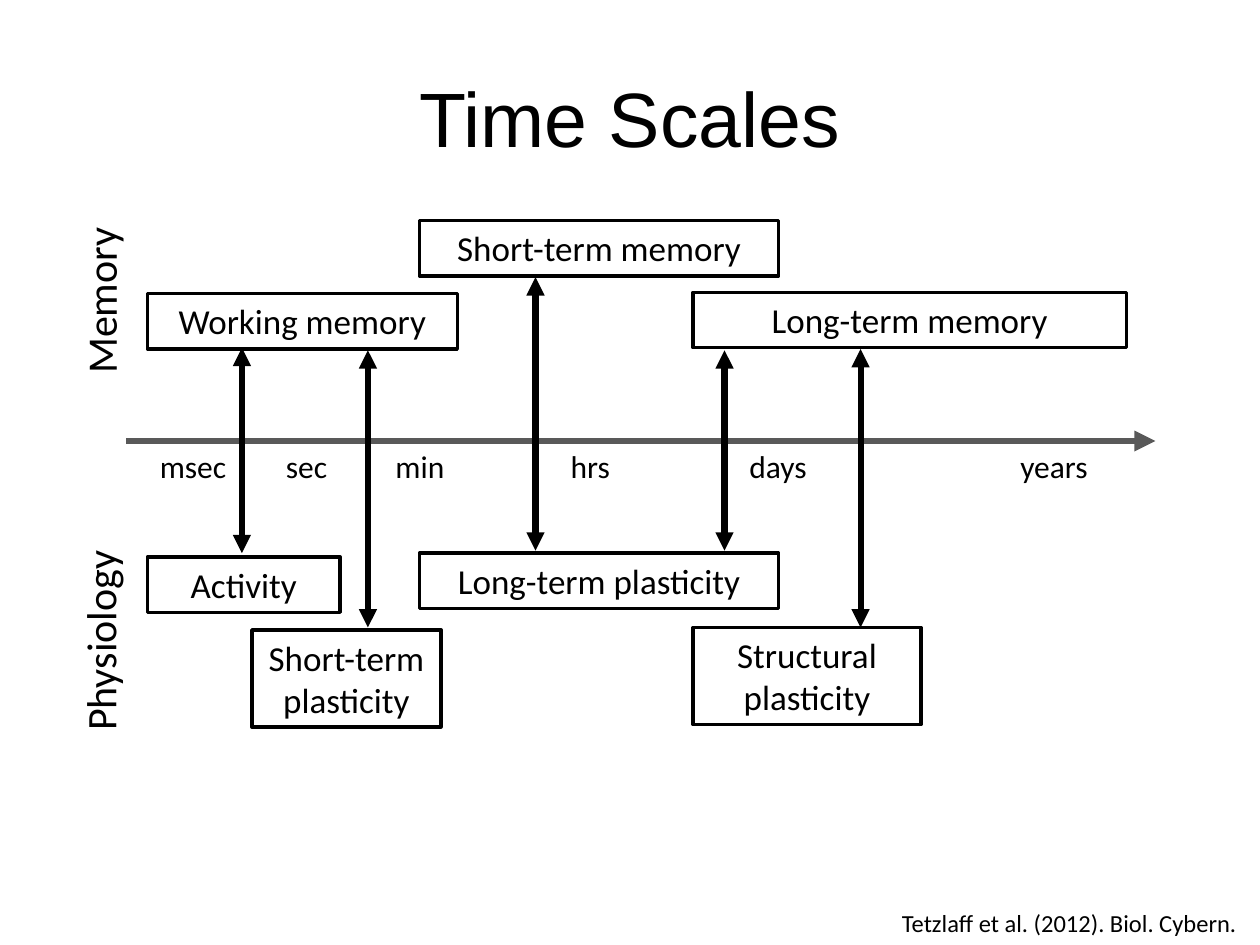
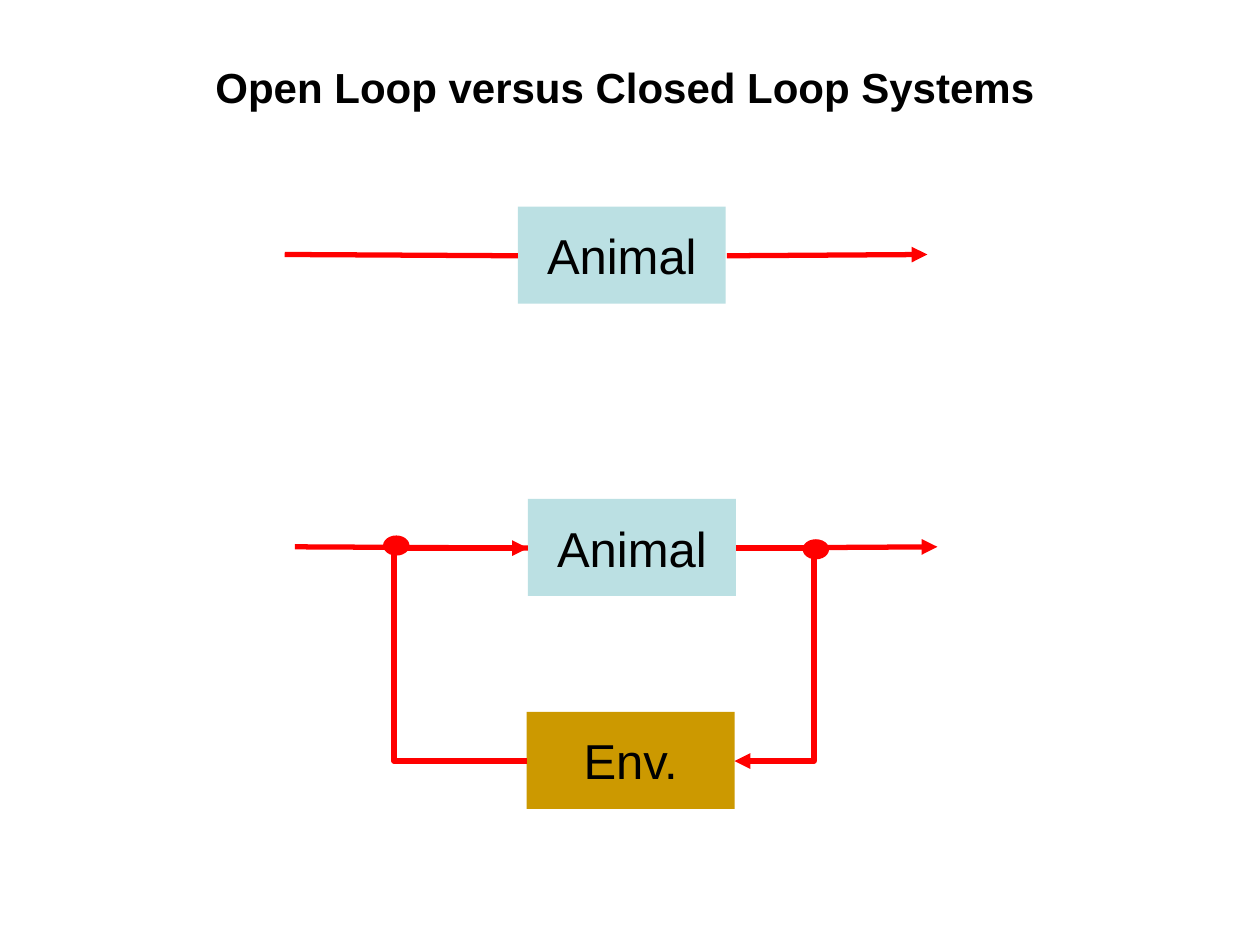
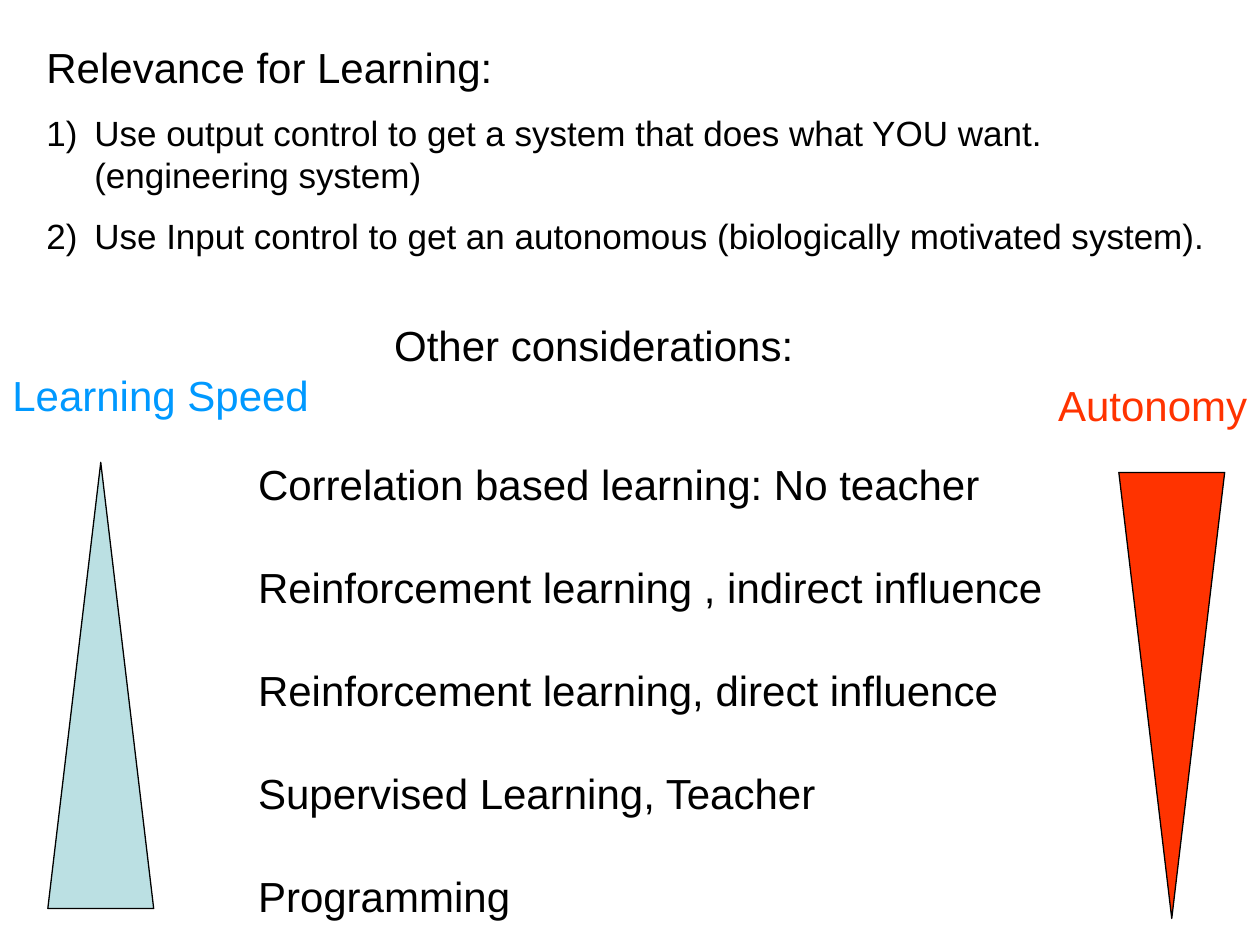
from pptx import Presentation
from pptx.dml.color import RGBColor
from pptx.enum.dml import MSO_LINE
from pptx.enum.shapes import MSO_CONNECTOR, MSO_SHAPE
from pptx.enum.text import MSO_ANCHOR, MSO_AUTO_SIZE, PP_ALIGN
from pptx.oxml.ns import qn
from pptx.util import Inches, Pt
from lxml import etree

RECT = MSO_SHAPE.RECTANGLE
OVAL = MSO_SHAPE.OVAL
TRIANGLE = MSO_SHAPE.ISOSCELES_TRIANGLE
STRAIGHT = MSO_CONNECTOR.STRAIGHT
ELBOW = MSO_CONNECTOR.ELBOW
SOLID = MSO_LINE.SOLID
TOP, MIDDLE = MSO_ANCHOR.TOP, MSO_ANCHOR.MIDDLE
LEFT, CENTER = PP_ALIGN.LEFT, PP_ALIGN.CENTER
GROW, FIXED = MSO_AUTO_SIZE.SHAPE_TO_FIT_TEXT, MSO_AUTO_SIZE.NONE

COLORS = {
    "text": "000000",
    "axis": "595959",
    "animal": "BBE0E3",
    "env": "CC9900",
    "signal": "FF0000",
    "speed": "0099FF",
    "autonomy": "FF3300",
}
TITLE_ONLY, BLANK = 5, 6


def rgb(name):
    return RGBColor.from_string(COLORS[name])


def place(sp, box):
    sp.left, sp.top, sp.width, sp.height = [Inches(v) for v in box]


def format_text(tf, size, font="Arial", color="text", align=LEFT, bold=False):
    for p in tf.paragraphs:
        p.alignment = align
        for r in p.runs:
            r.font.size = Pt(size)
            r.font.name = font
            r.font.bold = bold
            r.font.color.rgb = rgb(color)


def add_title(s, text, box, size, align=CENTER, anchor=MIDDLE, bold=False):
    sp = s.shapes.title
    place(sp, box)
    tf = sp.text_frame
    tf.text = text
    tf.auto_size = FIXED
    tf.vertical_anchor = anchor
    format_text(tf, size, align=align, bold=bold)


def add_label(s, text, box, size, font="Arial", color="text", rotation=0, wrap=False):
    sp = s.shapes.add_textbox(*[Inches(v) for v in box])
    sp.rotation = rotation
    tf = sp.text_frame
    tf.text = text
    tf.word_wrap = wrap
    tf.auto_size = GROW
    format_text(tf, size, font, color)
    return tf


def add_shape(s, kind, box, fill=None, line=None, width=0.75):
    sp = s.shapes.add_shape(kind, *[Inches(v) for v in box])
    sp.shadow.inherit = False
    if fill:
        sp.fill.solid()
        sp.fill.fore_color.rgb = rgb(fill)
    else:
        sp.fill.background()
    if line:
        sp.line.color.rgb = rgb(line)
        sp.line.width = Pt(width)
    else:
        sp.line.fill.background()
    return sp


def add_outlined_box(s, text, box):
    tf = add_shape(s, RECT, box, line="text", width=2).text_frame
    tf.text = text
    tf.vertical_anchor = TOP
    format_text(tf, 20, "Calibri", align=CENTER)


def add_block(s, text, left, top, fill):
    tf = add_shape(s, RECT, (left, top, 1.65, 0.77), fill).text_frame
    tf.text = text
    tf.word_wrap = False
    format_text(tf, 28, align=CENTER)


def add_line(s, start, end, color, width, head=False, tail=False, kind=STRAIGHT):
    c = s.shapes.add_connector(kind, *[Inches(v) for v in start + end])
    c.line.color.rgb = rgb(color)
    c.line.width = Pt(width)
    c.line.dash_style = SOLID
    ln = c.line._get_or_add_ln()
    for tag, wanted in (("a:headEnd", head), ("a:tailEnd", tail)):
        if wanted:
            etree.SubElement(ln, qn(tag), type="triangle")
    etree.SubElement(c._element.spPr, qn("a:effectLst"))
    return c


def add_feedback(s, start, end, bend_x, head=False, tail=False):
    c = add_line(s, start, end, "signal", 3, head, tail, ELBOW)
    ratio = (bend_x - start[0]) / (end[0] - start[0])
    geom = c._element.spPr.find(qn("a:prstGeom"))
    guides = geom.find(qn("a:avLst"))
    if guides is None:
        guides = etree.SubElement(geom, qn("a:avLst"))
    etree.SubElement(guides, qn("a:gd"), name="adj1", fmla=f"val {round(ratio * 100000)}")


def number_paragraph(p):
    pPr = p._p.get_or_add_pPr()
    pPr.set("marL", str(Inches(0.38)))
    pPr.set("indent", str(-Inches(0.38)))
    etree.SubElement(pPr, qn("a:buFont"), typeface="+mj-lt")
    etree.SubElement(pPr, qn("a:buAutoNum"), type="arabicParenR")


def build_time_scales(prs):
    s = prs.slides.add_slide(prs.slide_layouts[TITLE_ONLY])
    add_title(s, "Time Scales", (0.5, 0.3, 9, 1.25), 44)
    add_line(s, (1, 3.5), (9.17, 3.5), "axis", 4, tail=True)
    for text, left, width in (
        ("msec", 1.17, 0.73), ("sec", 2.17, 0.53), ("min", 3.04, 0.59),
        ("hrs", 4.43, 0.52), ("days", 5.85, 0.66), ("years", 8, 0.74),
    ):
        add_label(s, text, (left, 3.5, width, 0.4), 18, "Calibri")
    for text, box in (
        ("Working memory", (1.17, 2.33, 2.46, 0.44)),
        ("Short-term memory", (3.33, 1.75, 2.85, 0.44)),
        ("Long-term memory", (5.5, 2.32, 3.44, 0.44)),
        ("Activity", (1.17, 4.42, 1.53, 0.44)),
        ("Short-term\nplasticity", (2, 5, 1.5, 0.77)),
        ("Long-term plasticity", (3.33, 4.39, 2.85, 0.44)),
        ("Structural plasticity", (5.5, 4.98, 1.81, 0.77)),
    ):
        add_outlined_box(s, text, box)
    add_label(s, "Memory", (0.1, 2.11, 1.4, 0.51), 24, "Calibri", rotation=270)
    add_label(s, "Physiology", (-0.03, 4.82, 1.65, 0.51), 24, "Calibri", rotation=270)
    for x, top, bottom in (
        (1.92, 2.76, 4.39), (2.92, 2.78, 4.98), (4.25, 2.2, 4.37),
        (5.75, 2.78, 4.37), (6.83, 2.77, 4.98),
    ):
        add_line(s, (x, top), (x, bottom), "text", 3.5, head=True, tail=True)
    add_label(s, "Tetzlaff et al. (2012). Biol. Cybern.", (7.06, 7.16, 2.94, 0.34), 14, "Calibri")


def build_loops(prs):
    s = prs.slides.add_slide(prs.slide_layouts[TITLE_ONLY])
    add_title(s, "Open Loop versus Closed Loop Systems", (1.61, 0.44, 7.09, 0.5), 24,
              LEFT, TOP, True)
    for left, top in ((4.11, 1.64), (4.19, 3.96)):
        y = top + 0.39
        add_block(s, "Animal", left, top, "animal")
        add_line(s, (left - 1.85, y - 0.01), (left, y), "signal", 3)
        add_line(s, (left + 1.66, y), (left + 3.25, y - 0.01), "signal", 3, tail=True)
    add_block(s, "Env.", 4.18, 5.65, "env")
    add_feedback(s, (5.84, 4.35), (5.83, 6.04), 6.47, tail=True)
    add_feedback(s, (4.19, 4.35), (4.18, 6.04), 3.11, head=True)
    for left, top in ((3.04, 4.25), (6.37, 4.28)):
        add_shape(s, OVAL, (left, top, 0.21, 0.16), "signal")


def build_learning(prs):
    s = prs.slides.add_slide(prs.slide_layouts[BLANK])
    relevance = (
        "Relevance for Learning:\n"
        "Use output control to get a system that does what YOU want. (engineering system)\n"
        "Use Input control to get an autonomous (biologically motivated system)."
    )
    tf = add_label(s, relevance, (0.27, 0.28, 9.73, 1.83), 20, wrap=True)
    heading, *points = tf.paragraphs
    heading.runs[0].font.size = Pt(24)
    for p in points:
        p.space_before = Pt(11)
        number_paragraph(p)

    methods = (
        "Correlation based learning: No teacher",
        "Reinforcement learning , indirect influence",
        "Reinforcement learning, direct influence",
        "Supervised Learning, Teacher",
        "Programming",
    )
    tf = add_label(s, "\n".join(methods), (1.95, 3.59, 6.43, 3.69), 24)
    for p in tf.paragraphs[1:]:
        p.space_before = Pt(30)

    add_shape(s, TRIANGLE, (0.38, 3.67, 0.84, 3.54), "animal", "text")
    wedge = add_shape(s, TRIANGLE, (8.88, 3.75, 0.84, 3.54), "autonomy", "text")
    wedge._element.spPr.find(qn("a:xfrm")).set("flipV", "1")
    add_label(s, "Learning Speed", (0, 2.88, 2.56, 0.5), 24, color="speed")
    add_label(s, "Autonomy", (8.3, 2.96, 1.7, 0.5), 24, color="autonomy")
    add_label(s, "Other considerations:", (3.03, 2.49, 3.37, 0.5), 24)


def main():
    prs = Presentation()
    prs.slide_width, prs.slide_height = Inches(10), Inches(7.5)
    build_time_scales(prs)
    build_loops(prs)
    build_learning(prs)
    prs.save("out.pptx")


if __name__ == "__main__":
    main()
